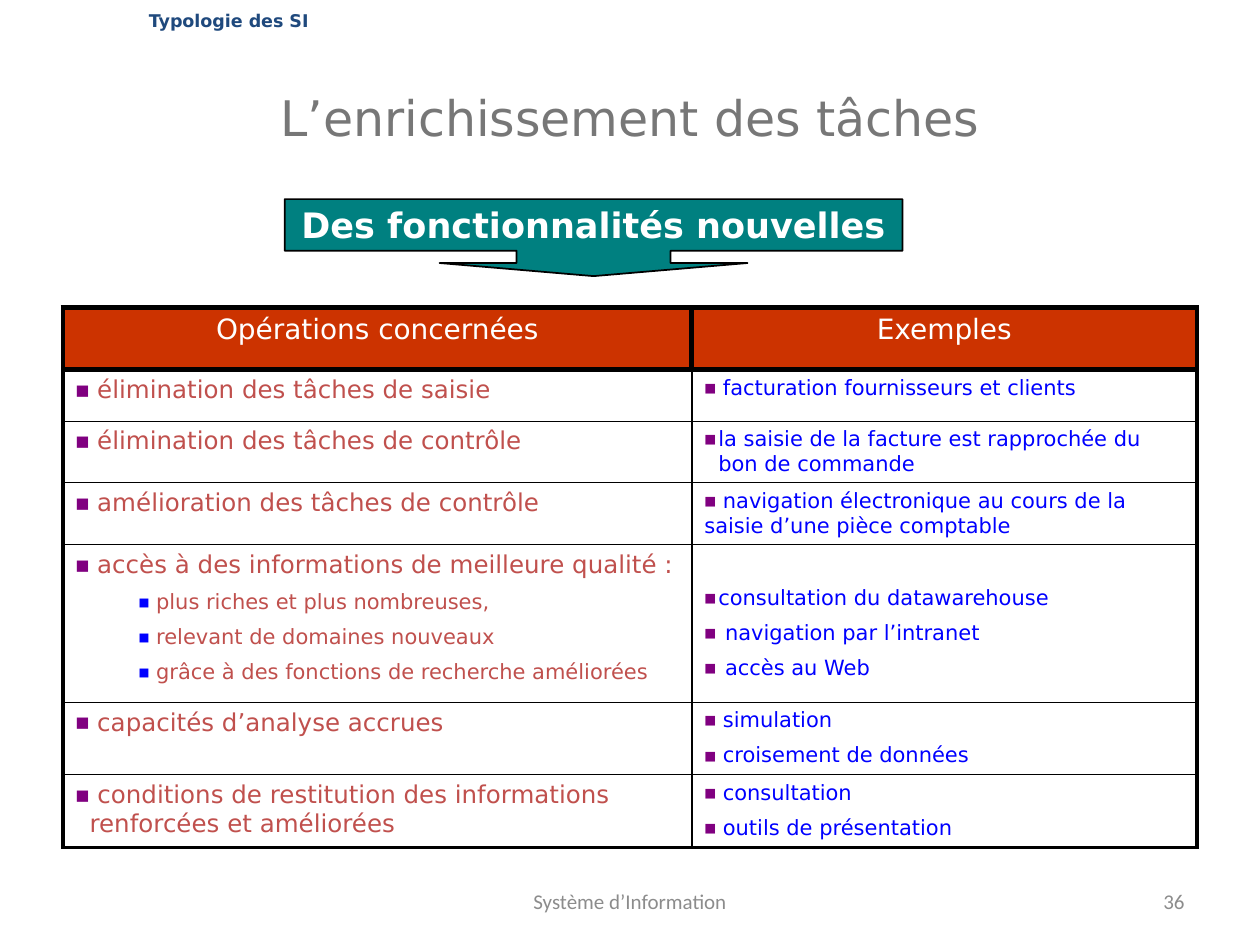
"""Build the slide on the enrichment of tasks."""
from lxml import etree
from pptx import Presentation
from pptx.dml.color import RGBColor
from pptx.enum import shapes, text
from pptx.oxml.ns import qn
from pptx.util import Pt

SANS = "DejaVu Sans"
LEFT, MID, RIGHT = text.PP_ALIGN.LEFT, text.PP_ALIGN.CENTER, text.PP_ALIGN.RIGHT
TITLE = "L’enrichissement des tâches"
BANNER = "Des fonctionnalités nouvelles"
HEADS = ["Opérations concernées", "Exemples"]
HANG = 8
ROWS = [
    ([" élimination des tâches de saisie"], [" facturation fournisseurs et clients"]),
    ([" élimination des tâches de contrôle"],
     ["la saisie de la facture est rapprochée du bon de commande"]),
    ([" amélioration des tâches de contrôle"],
     [" navigation électronique au cours de la saisie d’une pièce comptable"]),
    ([" accès à des informations de meilleure qualité :",
      " plus riches et plus nombreuses,",
      " relevant de domaines nouveaux",
      " grâce à des fonctions de recherche améliorées"],
     ["consultation du datawarehouse", " navigation par l’intranet", " accès au Web"]),
    ([" capacités d’analyse accrues"], [" simulation", " croisement de données"]),
    ([" conditions de restitution des informations renforcées et améliorées"],
     [" consultation", " outils de présentation"]),
]
HUNG = {(2, 1), (4, 1), (6, 0)}
LOWERED = (4, 1)
WIDTHS = [359.3, 288.7]
HEIGHTS = [35.3, 29.5, 30.2, 30.2, 90, 30.2, 41.8]
LABELS = [
    ("Système d’Information", (246, 500.4, 228, 28.8), MID, 12, "Calibri", "8C8C8C", False),
    ("36", (516, 500.4, 168, 28.8), RIGHT, 12, "Calibri", "8C8C8C", False),
    ("Typologie des SI", (78, 2, 108, 19.4), LEFT, 10, SANS, "1F497D", True),
]


def hue(code):
    return RGBColor.from_string(code)


def style(para, size, code, font=SANS, bold=False, align=LEFT):
    para.alignment = align
    for run in para.runs:
        run.font.size, run.font.name, run.font.bold = Pt(size), font, bold
        run.font.color.rgb = hue(code)


def bullet(para, code, scale, left, first):
    props = para._p.get_or_add_pPr()
    props.set("marL", str(Pt(left)))
    props.set("indent", str(Pt(first)))
    color = etree.SubElement(props, qn("a:buClr"))
    etree.SubElement(color, qn("a:srgbClr"), val=code)
    etree.SubElement(props, qn("a:buSzPct"), val=str(scale * 1000))
    etree.SubElement(props, qn("a:buFont"), typeface=SANS)
    etree.SubElement(props, qn("a:buChar"), char="■")


def border(cell, *widths):
    props = cell._tc.get_or_add_tcPr()
    for side, width in zip("LRTB", widths):
        line = etree.SubElement(props, qn("a:ln" + side), w=str(Pt(width)))
        fill = etree.SubElement(line, qn("a:solidFill"))
        etree.SubElement(fill, qn("a:srgbClr"), val="000000")


def fill_cell(cell, row, col, lines):
    cell.text_frame.text = "\n".join(lines)
    for pos, para in enumerate(cell.text_frame.paragraphs):
        sub = col == 0 and pos > 0
        size = 14 if col == 0 and not sub else 12
        style(para, size, ("C0504D", "0000FF")[col])
        para.space_before = Pt(size / 2)
        if sub:
            para.level = 1
            bullet(para, "0000FF", 55, 36, 0)
        else:
            hang = HANG if (row, col) in HUNG else 0
            bullet(para, "800080", 60, hang, -hang)
    if (row, col) == LOWERED:
        cell.margin_top = Pt(23.6)
    sides = (2.25, 1) if col == 0 else (1, 2.25)
    border(cell, *sides, 3 if row == 1 else 0.25, 2.25 if row == len(ROWS) else 0.25)
    cell.fill.background()


def add_grid(slide):
    frame = slide.shapes.add_table(len(HEIGHTS), 2, Pt(36), Pt(175.7), Pt(648), Pt(313))
    grid = frame.table
    grid.first_row = grid.horz_banding = False
    for col, width in enumerate(WIDTHS):
        grid.columns[col].width = Pt(width)
    for row, height in enumerate(HEIGHTS):
        grid.rows[row].height = Pt(height)
    frame.height = Pt(313)
    for col, head in enumerate(HEADS):
        cell = grid.cell(0, col)
        cell.text_frame.text = head
        style(cell.text_frame.paragraphs[0], 16, "FFFFFF", align=MID)
        border(cell, 3, 3, 3, 3)
        cell.fill.solid()
        cell.fill.fore_color.rgb = hue("CC3300")
    for row, pair in enumerate(ROWS, 1):
        for col, lines in enumerate(pair):
            fill_cell(grid.cell(row, col), row, col, lines)


def add_banner(slide):
    kind = shapes.MSO_SHAPE.DOWN_ARROW_CALLOUT
    shape = slide.shapes.add_shape(kind, Pt(162.7), Pt(113.8), Pt(353), Pt(44))
    for pos, value in enumerate([2, 2, 0.17, 0.67]):
        shape.adjustments[pos] = value
    shape.shadow.inherit = False
    shape.fill.solid()
    shape.fill.fore_color.rgb = hue("008080")
    shape.line.color.rgb = hue("000000")
    shape.line.width = Pt(1)
    frame = shape.text_frame
    frame.text, frame.word_wrap = BANNER, False
    frame.vertical_anchor = text.MSO_ANCHOR.MIDDLE
    style(frame.paragraphs[0], 20, "FFFFFF", bold=True, align=MID)


def add_label(slide, words, place, align, size, font, code, bold):
    frame = slide.shapes.add_textbox(*map(Pt, place)).text_frame
    frame.text, frame.word_wrap = words, True
    frame.vertical_anchor = text.MSO_ANCHOR.MIDDLE
    style(frame.paragraphs[0], size, code, font, bold, align)


def main():
    deck = Presentation()
    deck.slide_width, deck.slide_height = Pt(720), Pt(540)
    slide = deck.slides.add_slide(deck.slide_layouts[5])
    title = slide.shapes.title
    title.left, title.top, title.width, title.height = map(Pt, (36, 21.6, 648, 90))
    title.text_frame.text = TITLE
    title.text_frame.vertical_anchor = text.MSO_ANCHOR.MIDDLE
    style(title.text_frame.paragraphs[0], 28, "777777", align=MID)
    add_grid(slide)
    add_banner(slide)
    for label in LABELS:
        add_label(slide, *label)
    deck.save("out.pptx")


if __name__ == "__main__":
    main()
